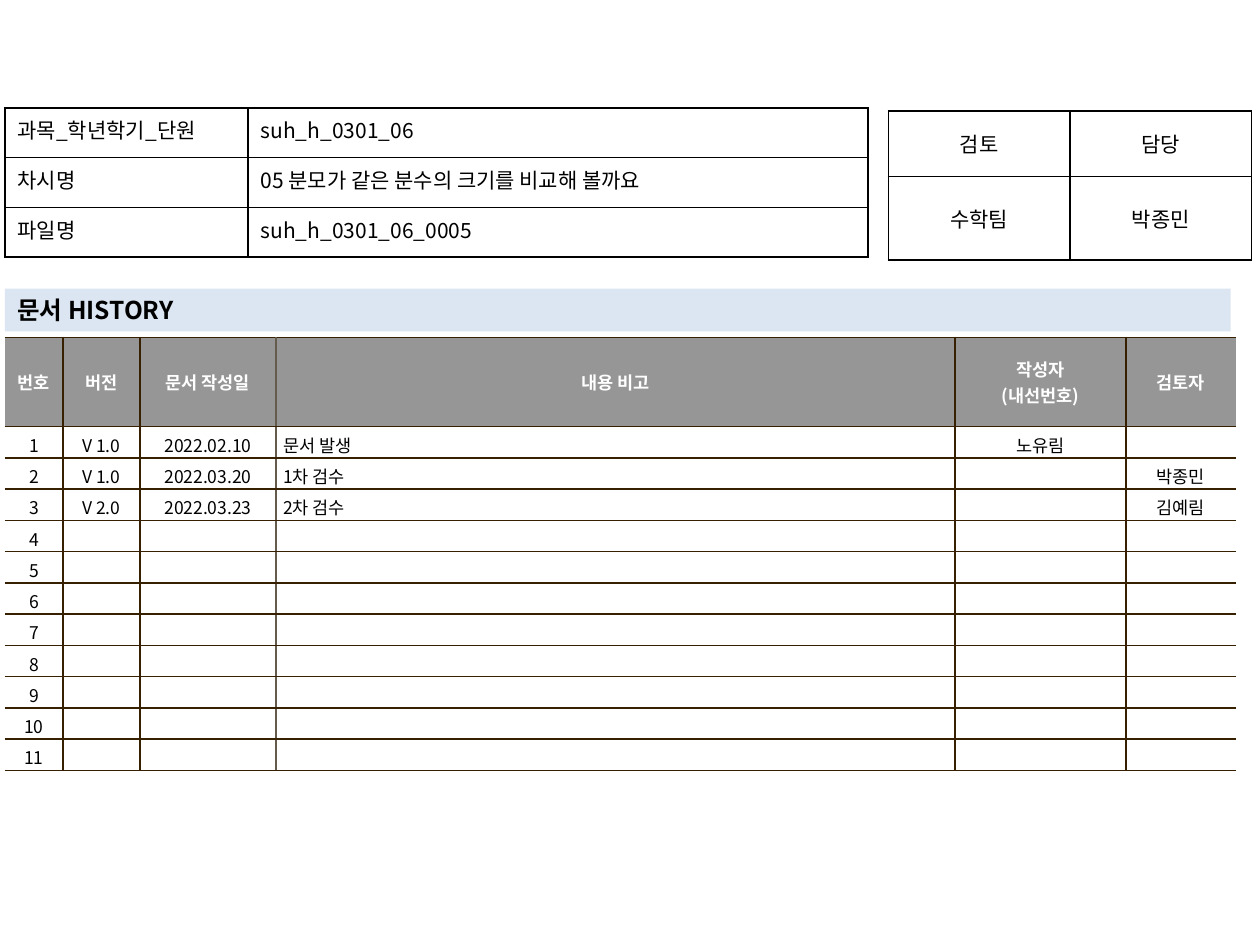
from lxml.etree import SubElement
from pptx import Presentation
from pptx.dml.color import RGBColor
from pptx.enum.shapes import MSO_SHAPE
from pptx.enum.text import MSO_ANCHOR as Anchor, PP_ALIGN as Align
from pptx.oxml.ns import qn
from pptx.util import Cm, Pt

FONT = "Noto Sans CJK KR"
BLACK = RGBColor(0x00, 0x00, 0x00)
WHITE = RGBColor(0xFF, 0xFF, 0xFF)
GRAY = RGBColor(0x96, 0x96, 0x96)
PALE_BLUE = RGBColor(0xDC, 0xE6, 0xF2)
BROWN = RGBColor(0x36, 0x20, 0x00)
TAUPE = RGBColor(0x64, 0x5B, 0x4C)

INFO_ROWS = [
    ("과목_학년학기_단원", "suh_h_0301_06"),
    ("차시명", "05 분모가 같은 분수의 크기를 비교해 볼까요"),
    ("파일명", "suh_h_0301_06_0005"),
]
REVIEW_ROWS = [("검토", "담당"), ("수학팀", "박종민")]
HISTORY_HEADER = ("번호", "버전", "문서 작성일", "내용 비고", "작성자\n(내선번호)", "검토자")
HISTORY_ENTRIES = [
    ("V 1.0", "2022.02.10", "문서 발생", "노유림", ""),
    ("V 1.0", "2022.03.20", "1차 검수", "", "박종민"),
    ("V 2.0", "2022.03.23", "2차 검수", "", "김예림"),
]
HISTORY_LENGTH = 11
NOTE_COLUMN = 3


def write_text(frame, text, size, color=BLACK, bold=False, align=Align.LEFT):
    """Write one paragraph per line; an empty text keeps only its size."""
    for index, line in enumerate(text.split("\n")):
        para = frame.add_paragraph() if index else frame.paragraphs[0]
        para.alignment = align
        if not line:
            SubElement(para._p, qn("a:endParaRPr"), sz=str(size * 100))
            continue
        span = para.add_run()
        span.text = line
        span.font.name = FONT
        span.font.size = Pt(size)
        span.font.bold = bold
        span.font.color.rgb = color
        SubElement(span._r.get_or_add_rPr(), qn("a:ea"), typeface=FONT)


def set_borders(cell, left, right, top, bottom):
    """Draw each side in its colour, or leave it open when it is None."""
    props = cell._tc.get_or_add_tcPr()
    sides = {"a:lnL": left, "a:lnR": right, "a:lnT": top, "a:lnB": bottom}
    for index, (tag, color) in enumerate(sides.items()):
        line = SubElement(props, qn(tag), w=str(Pt(1)))
        props.insert(index, line)
        if color is None:
            SubElement(line, qn("a:noFill"))
        else:
            fill = SubElement(line, qn("a:solidFill"))
            SubElement(fill, qn("a:srgbClr"), val=str(color))


def add_grid(page, left, top, widths, heights):
    """Add a plain table whose column and row sizes are in centimetres."""
    table = page.shapes.add_table(
        len(heights), len(widths), Cm(left), Cm(top), Cm(sum(widths)), Cm(sum(heights))
    ).table
    table.first_row = table.horz_banding = False
    for column, width in zip(table.columns, widths):
        column.width = Cm(width)
    for row, height in zip(table.rows, heights):
        row.height = Cm(height)
    return table


def add_form(page, left, top, widths, heights, rows, align, anchor):
    """Add an unfilled table with black borders."""
    table = add_grid(page, left, top, widths, heights)
    for r, texts in enumerate(rows):
        for c, text in enumerate(texts):
            cell = table.cell(r, c)
            cell.fill.background()
            cell.vertical_anchor = anchor
            write_text(cell.text_frame, text, 12, align=align)
            set_borders(cell, BLACK, BLACK, BLACK, BLACK)


def add_banner(page, left, top, width, height, text):
    banner = page.shapes.add_shape(
        MSO_SHAPE.RECTANGLE, Cm(left), Cm(top), Cm(width), Cm(height)
    )
    banner.shadow.inherit = False
    banner.fill.solid()
    banner.fill.fore_color.rgb = PALE_BLUE
    banner.line.fill.background()
    banner.text_frame.word_wrap = True
    banner.text_frame.vertical_anchor = Anchor.MIDDLE
    write_text(banner.text_frame, text, 14, bold=True)


def add_history(page, left, top, widths, header_height, row_height):
    """Add the version table, open at its left and right edges."""
    rows = [HISTORY_HEADER]
    for number in range(1, HISTORY_LENGTH + 1):
        known = number <= len(HISTORY_ENTRIES)
        entry = HISTORY_ENTRIES[number - 1] if known else ("",) * (len(widths) - 1)
        rows.append((str(number), *entry))
    table = add_grid(page, left, top, widths, [header_height] + [row_height] * HISTORY_LENGTH)

    rules = [None] + [BROWN] * (len(widths) - 1) + [None]
    rules[NOTE_COLUMN] = TAUPE
    for r, texts in enumerate(rows):
        is_header = r == 0
        for c, text in enumerate(texts):
            cell = table.cell(r, c)
            cell.fill.solid()
            cell.fill.fore_color.rgb = GRAY if is_header else WHITE
            cell.vertical_anchor = Anchor.MIDDLE
            cell.margin_left = cell.margin_right = Cm(0.15)
            cell.margin_top = Cm(0.1)
            cell.margin_bottom = Cm(0.1 if is_header else 0)
            is_note = c == NOTE_COLUMN and not is_header
            write_text(
                cell.text_frame, text, 10, WHITE if is_header else BLACK, is_header,
                Align.LEFT if is_note else Align.CENTER,
            )
            set_borders(cell, rules[c], rules[c + 1], BROWN, BROWN)


def main():
    deck = Presentation()
    deck.slide_width, deck.slide_height = Cm(25.4), Cm(19.05)
    page = deck.slides.add_slide(deck.slide_layouts[6])
    add_form(page, 17.91, 2.24, [3.66] * 2, [1.32, 1.68], REVIEW_ROWS,
             Align.CENTER, Anchor.MIDDLE)
    add_banner(page, 0.1, 5.82, 24.71, 0.86, "문서 HISTORY")
    add_history(page, 0.1, 6.8, [1.17, 1.55, 2.74, 13.69, 3.45, 2.21], 1.8, 0.63)
    add_form(page, 0.1, 2.18, [4.9, 12.5], [1] * 3, INFO_ROWS, Align.LEFT, Anchor.TOP)
    deck.save("out.pptx")


if __name__ == "__main__":
    main()
